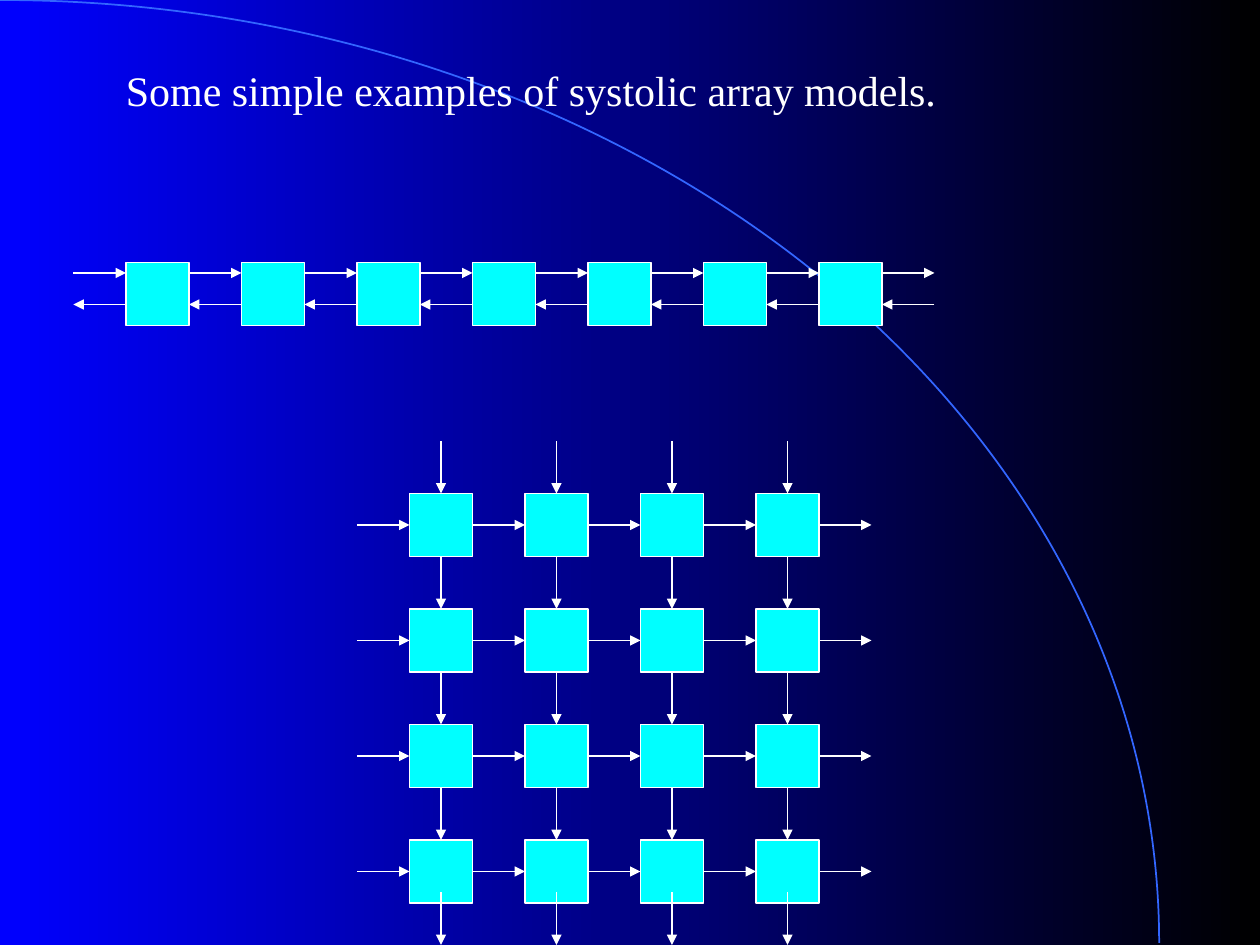
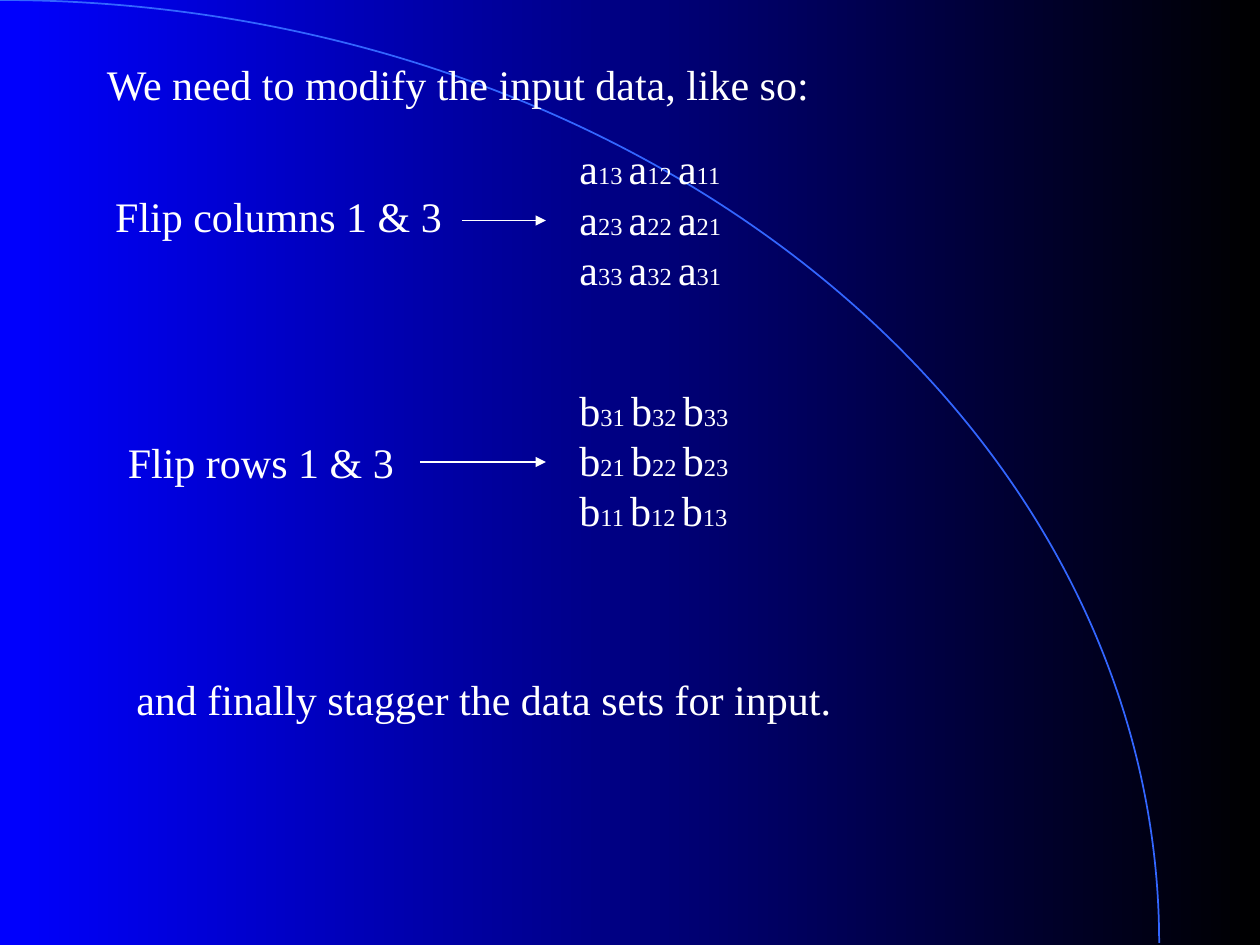
"""Build two slides on systolic arrays: the array models and the input data changes."""
import dataclasses

import lxml.etree
import pptx
import pptx.dml.color
import pptx.enum.shapes
import pptx.enum.text
import pptx.oxml.ns
import pptx.util

PX = 7620
SLIDE_SIZE = (1200, 900)
ARC_BOX = (-1104, 0, 2208, 1796)


@dataclasses.dataclass(frozen=True)
class Theme:
    background_start: str = "000000"
    background_end: str = "0000FF"
    arc: str = "3366FF"
    cell: str = "00FFFF"
    ink: str = "FFFFFF"
    font: str = "Times New Roman"
    text_size: int = 24
    index_size: int = 14
    line_width: float = 0.75
    arc_width: float = 1


THEME = Theme()

CELL, GAP = 60, 50
PITCH = CELL + GAP
LINEAR_ARRAY = {"left": 120, "top": 250, "cells": 7, "forward": 260, "backward": 290}
MESH_ARRAY = {"left": 390, "top": 470, "cells": 4}

MODELS_TITLE = ("Some simple examples of systolic array models.", (108, 56, 800, 60))
INPUT_TEXTS = [
    ("We need to modify the input data, like so:", (90, 50, 700, 60)),
    ("Flip columns 1 & 3", (98, 176, 348, 60)),
    ("Flip rows 1 & 3", (110, 410, 291, 60)),
    ("and finally stagger the data sets for input.", (118, 636, 692, 60)),
]
MATRICES = [
    ("a13 a12 a11\na23 a22 a21\na33 a32 a31", (540, 130, 166, 156)),
    ("b31 b32 b33\nb21 b22 b23\nb11 b12 b13", (540, 360, 172, 156)),
]
FLIP_ARROWS = [((440, 210), (520, 210)), ((400, 440), (520, 440))]


def emu(lengths):
    return [pptx.util.Emu(length * PX) for length in lengths]


def color(value):
    return pptx.dml.color.RGBColor.from_string(value)


def set_line(line, value, width):
    line.color.rgb = color(value)
    line.width = pptx.util.Pt(width)


def split_indices(row, size, index_size):
    entries = row.split(" ")
    for position, entry in enumerate(entries, 1):
        yield entry[0], size
        yield entry[1:] + (" " if position < len(entries) else ""), index_size


def add_text(slide, text, box, size=THEME.text_size, index_size=None, ink=THEME.ink):
    frame = slide.shapes.add_textbox(*emu(box)).text_frame
    frame.word_wrap = False
    frame.auto_size = pptx.enum.text.MSO_AUTO_SIZE.SHAPE_TO_FIT_TEXT
    for number, row in enumerate(text.split("\n")):
        paragraph = frame.add_paragraph() if number else frame.paragraphs[0]
        pieces = split_indices(row, size, index_size) if index_size else [(row, size)]
        for piece, piece_size in pieces:
            run = paragraph.add_run()
            run.text = piece
            run.font.name = THEME.font
            run.font.size = pptx.util.Pt(piece_size)
            run.font.color.rgb = color(ink)


def add_cell(slide, left, top):
    shape = slide.shapes.add_shape(
        pptx.enum.shapes.MSO_SHAPE.RECTANGLE, *emu((left, top, CELL, CELL)))
    shape.shadow.inherit = False
    shape.fill.solid()
    shape.fill.fore_color.rgb = color(THEME.cell)
    set_line(shape.line, THEME.ink, THEME.line_width)


def add_arrow(slide, start, end):
    connector = slide.shapes.add_connector(
        pptx.enum.shapes.MSO_CONNECTOR.STRAIGHT, *emu((*start, *end)))
    set_line(connector.line, THEME.ink, THEME.line_width)
    qn = pptx.oxml.ns.qn
    lxml.etree.SubElement(connector.get_or_add_ln(), qn("a:tailEnd"), type="triangle")
    lxml.etree.SubElement(connector._element.spPr, qn("a:effectLst"))


def add_slide(presentation):
    slide = presentation.slides.add_slide(presentation.slide_layouts[6])
    fill = slide.background.fill
    fill.gradient()
    fill.gradient_angle = 180
    for stop, value in zip(fill.gradient_stops, (THEME.background_start, THEME.background_end)):
        stop.color.rgb = color(value)
    arc = slide.shapes.add_shape(pptx.enum.shapes.MSO_SHAPE.ARC, *emu(ARC_BOX))
    arc.shadow.inherit = False
    arc.fill.background()
    set_line(arc.line, THEME.arc, THEME.arc_width)
    return slide


def add_linear_array(slide, left, top, cells, forward, backward):
    for index in range(cells):
        add_cell(slide, left + index * PITCH, top)
    for index in range(cells + 1):
        end = left + index * PITCH
        add_arrow(slide, (end - GAP, forward), (end, forward))
        add_arrow(slide, (end, backward), (end - GAP, backward))


def add_mesh_array(slide, left, top, cells):
    for row in range(cells):
        for column in range(cells):
            add_cell(slide, left + column * PITCH, top + row * PITCH)
    for lane in range(cells):
        x = left + lane * PITCH + CELL // 2
        y = top + lane * PITCH + CELL // 2
        for step in range(cells + 1):
            right = left + step * PITCH
            bottom = min(top + step * PITCH, SLIDE_SIZE[1])
            add_arrow(slide, (right - GAP, y), (right, y))
            add_arrow(slide, (x, bottom - GAP), (x, bottom))


def main():
    presentation = pptx.Presentation()
    presentation.slide_width, presentation.slide_height = emu(SLIDE_SIZE)

    models = add_slide(presentation)
    add_linear_array(models, **LINEAR_ARRAY)
    add_mesh_array(models, **MESH_ARRAY)
    add_text(models, *MODELS_TITLE)

    inputs = add_slide(presentation)
    for text, box in INPUT_TEXTS:
        add_text(inputs, text, box)
    for text, box in MATRICES:
        add_text(inputs, text, box, index_size=THEME.index_size)
    for start, end in FLIP_ARROWS:
        add_arrow(inputs, start, end)

    presentation.save("out.pptx")


if __name__ == "__main__":
    main()
